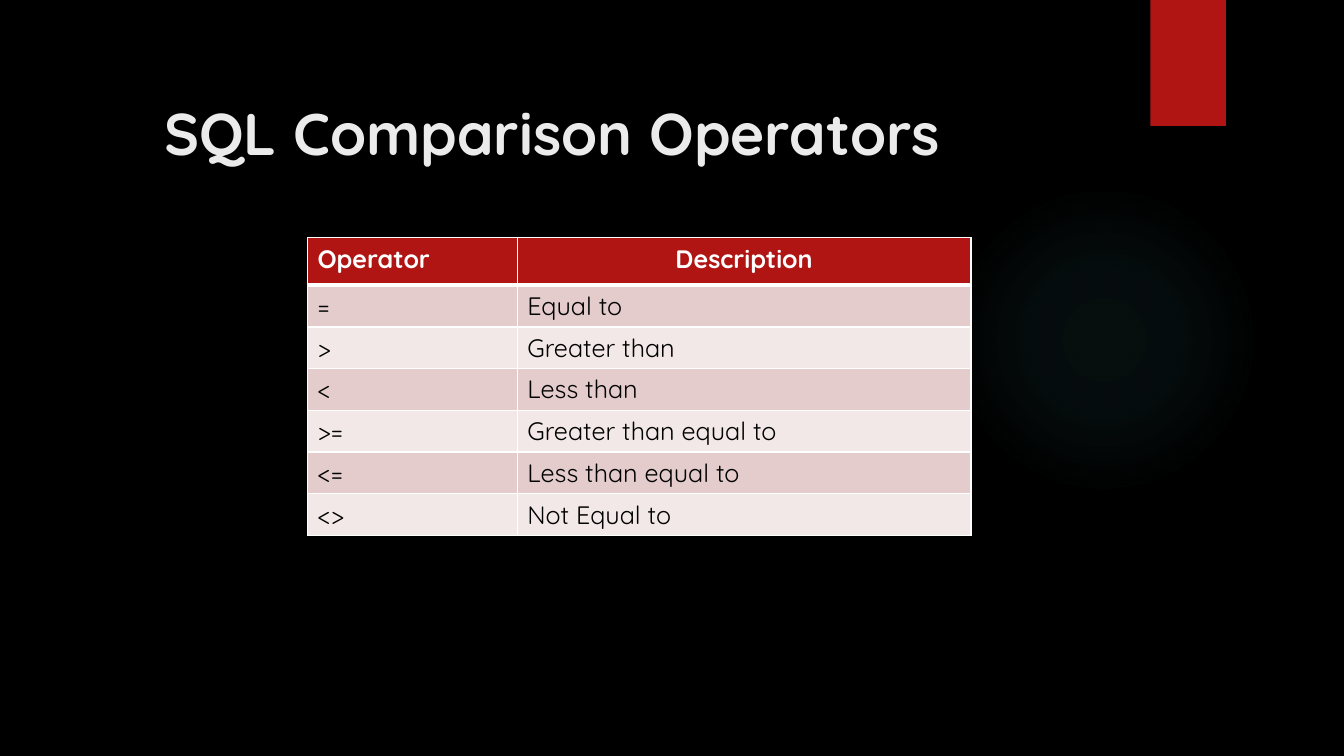
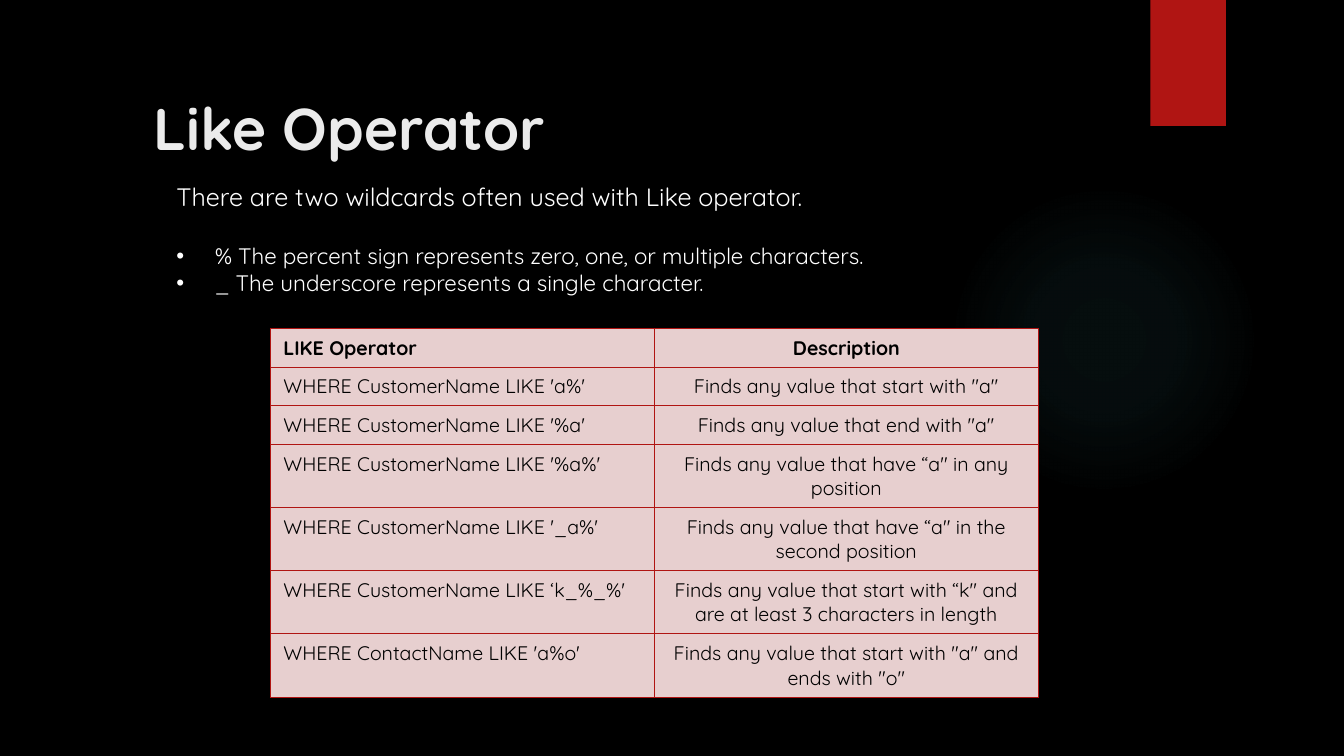
import lxml.etree
import pptx
import pptx.dml.color
import pptx.enum.shapes
import pptx.enum.text
import pptx.oxml.ns
import pptx.util

Inches = pptx.util.Inches
Pt = pptx.util.Pt
ALIGN = pptx.enum.text.PP_ALIGN
SHAPE = pptx.enum.shapes.MSO_SHAPE

FONT = "Quicksand"
BLACK = "000000"
WHITE = "FFFFFF"
RED = "B01513"
TITLE_GRAY = "EBEBEB"
GLOW_TEAL = "50B9C1"
ROSE = "E4CCCC"
PALE_ROSE = "F2E8E7"
PINK = "E7CFCF"

TITLE_ONLY, TITLE_AND_BODY = 5, 1


def rgb(color):
    return pptx.dml.color.RGBColor.from_string(color)


def add_xml(parent, tag, **attributes):
    element = lxml.etree.SubElement(parent, pptx.oxml.ns.qn(tag))
    for key, value in attributes.items():
        element.set(key, str(value))
    return element


class Deck:
    """Hold the shared style and the current slide."""

    def __init__(self):
        self.presentation = pptx.Presentation()
        self.presentation.slide_width = Inches(13.33)
        self.presentation.slide_height = Inches(7.5)
        background = self.presentation.slide_master.background.fill
        background.solid()
        background.fore_color.rgb = rgb(BLACK)
        self.slide = None

    def new_slide(self, layout, title, left, top):
        layouts = self.presentation.slide_layouts
        self.slide = self.presentation.slides.add_slide(layouts[layout])
        for placeholder in list(self.slide.placeholders):
            if placeholder.placeholder_format.idx > 1:
                placeholder.element.getparent().remove(placeholder.element)
        self.add_glow()
        self.add_band()
        heading = self.slide.shapes.title
        self.place(heading, left, top, 10.24, 0.85)
        heading.text_frame.text = title
        self.format_text(heading.text_frame.paragraphs[0], 42, TITLE_GRAY, True)

    def place(self, placeholder, left, top, width, height):
        placeholder.left, placeholder.top = Inches(left), Inches(top)
        placeholder.width, placeholder.height = Inches(width), Inches(height)
        placeholder.text_frame.word_wrap = True
        placeholder.text_frame.auto_size = pptx.enum.text.MSO_AUTO_SIZE.NONE

    def format_text(self, paragraph, size, color, bold=False, align=ALIGN.LEFT):
        paragraph.alignment = align
        for run in paragraph.runs:
            run.font.name = FONT
            run.font.size = Pt(size)
            run.font.bold = bold
            run.font.color.rgb = rgb(color)

    def add_plain_shape(self, kind, left, top, width, height):
        shape = self.slide.shapes.add_shape(
            kind, Inches(left), Inches(top), Inches(width), Inches(height))
        shape.shadow.inherit = False
        shape.line.fill.background()
        return shape

    def add_glow(self):
        glow = self.add_plain_shape(SHAPE.OVAL, 9.41, 1.83, 3.08, 3.08)
        glow.fill.gradient()
        gradient = glow.element.spPr.find(pptx.oxml.ns.qn("a:gradFill"))
        for child in list(gradient):
            gradient.remove(child)
        stops = add_xml(gradient, "a:gsLst")
        for position, opacity in ((0, 7), (36, 6), (69, 0)):
            stop = add_xml(stops, "a:gs", pos=position * 1000)
            color = add_xml(stop, "a:srgbClr", val=GLOW_TEAL)
            add_xml(color, "a:alpha", val=opacity * 1000)
        radial = add_xml(gradient, "a:path", **{"path": "circle"})
        add_xml(radial, "a:fillToRect", l=50000, t=50000, r=50000, b=50000)

    def add_band(self):
        band = self.add_plain_shape(SHAPE.RECTANGLE, 11.41, 0, 0.75, 1.25)
        band.fill.solid()
        band.fill.fore_color.rgb = rgb(RED)
        effects = band.element.spPr.find(pptx.oxml.ns.qn("a:effectLst"))
        shadow = add_xml(effects, "a:outerShdw", blurRad=Pt(3), dist=Pt(2),
                         dir=5400000, rotWithShape=0)
        color = add_xml(shadow, "a:srgbClr", val=BLACK)
        add_xml(color, "a:alpha", val=45000)

    def add_list(self, intro, items, left, top, width, height):
        body = self.slide.placeholders[1]
        self.place(body, left, top, width, height)
        body.text_frame.text = "\n".join([intro, *items])
        for index, paragraph in enumerate(body.text_frame.paragraphs):
            self.format_text(paragraph, 16 if index else 18, WHITE)
            paragraph.space_before = Pt(22 if index == 1 else 0)
            indent = Inches(0.38) if index else 0
            properties = paragraph._p.get_or_add_pPr()
            properties.set("marL", str(indent))
            properties.set("indent", str(-indent))
            if index:
                add_xml(properties, "a:buChar", char="•")
            else:
                add_xml(properties, "a:buNone")

    def add_table(self, rows, left, top, widths, heights, size, fills,
                  header_color, border, header_rule, body_align, margins=None):
        table = self.slide.shapes.add_table(
            len(rows), len(widths), Inches(left), Inches(top),
            Inches(sum(widths)), Inches(sum(heights))).table
        table.first_row = table.horz_banding = False
        for column, width in zip(table.columns, widths):
            column.width = Inches(width)
        for row, height in zip(table.rows, heights):
            row.height = Inches(height)
        color, thin = border
        for r, texts in enumerate(rows):
            for c, text in enumerate(texts):
                cell = table.cell(r, c)
                cell.text_frame.text = text
                align = ALIGN.LEFT
                if c == 1:
                    align = body_align if r else ALIGN.CENTER
                self.format_text(cell.text_frame.paragraphs[0], size,
                                 BLACK if r else header_color, r == 0, align)
                if margins:
                    cell.margin_left = Inches(margins[c])
                    cell.margin_right = Inches(0.07)
                    cell.margin_top = cell.margin_bottom = Inches(0.07)
                top_rule = header_rule if r == 1 else thin
                bottom_rule = thin if r else header_rule
                self.add_borders(cell, color, (thin, thin, top_rule, bottom_rule))
                cell.fill.solid()
                cell.fill.fore_color.rgb = rgb(fills[r])

    def add_borders(self, cell, color, weights):
        properties = cell._tc.get_or_add_tcPr()
        for side, weight in zip("LRTB", weights):
            line = add_xml(properties, "a:ln" + side, w=Pt(weight))
            add_xml(add_xml(line, "a:solidFill"), "a:srgbClr", val=color)


COMPARISONS = [
    ("Operator", "Description"),
    ("=", "Equal to"),
    (">", "Greater than"),
    ("<", "Less than"),
    (">=", "Greater than equal to"),
    ("<=", "Less than equal to"),
    ("<>", "Not Equal to"),
]

LIKE_PATTERNS = [
    ("LIKE Operator", "Description"),
    ("WHERE CustomerName LIKE 'a%'", 'Finds any value that start with "a"'),
    ("WHERE CustomerName LIKE '%a'", 'Finds any value that end with "a"'),
    ("WHERE CustomerName LIKE '%a%'",
     'Finds any value that have “a" in any position'),
    ("WHERE CustomerName LIKE '_a%'",
     'Finds any value that have “a" in the second position'),
    ("WHERE CustomerName LIKE ‘k_%_%'",
     'Finds any value that start with “k" and are at least 3 characters in length'),
    ("WHERE ContactName LIKE 'a%o'",
     'Finds any value that start with "a" and ends with "o"'),
]

WILDCARDS = [
    "% The percent sign represents zero, one, or multiple characters.",
    "_ The underscore represents a single character.",
]


def main():
    deck = Deck()

    deck.new_slide(TITLE_ONLY, "SQL Comparison Operators", 1.53, 0.88)
    deck.add_table(COMPARISONS, 3.05, 2.36, [2.08, 4.5], [0.47] + [0.41] * 6,
                   size=18, fills=[RED] + [ROSE, PALE_ROSE] * 3,
                   header_color=WHITE, border=(WHITE, 1), header_rule=3,
                   body_align=ALIGN.LEFT)

    deck.new_slide(TITLE_AND_BODY, "Like Operator", 1.42, 0.83)
    deck.add_list("There are two wildcards often used with Like operator.",
                  WILDCARDS, 1.65, 1.75, 8.64, 1.25)
    deck.add_table(LIKE_PATTERNS, 2.68, 3.26, [3.81] * 2,
                   [0.38] * 3 + [0.62] * 4, size=14, fills=[PINK] * 7,
                   header_color=BLACK, border=(RED, 0.75), header_rule=0.75,
                   body_align=ALIGN.CENTER, margins=(0.13, 0.07))

    deck.presentation.save("out.pptx")


if __name__ == "__main__":
    main()
